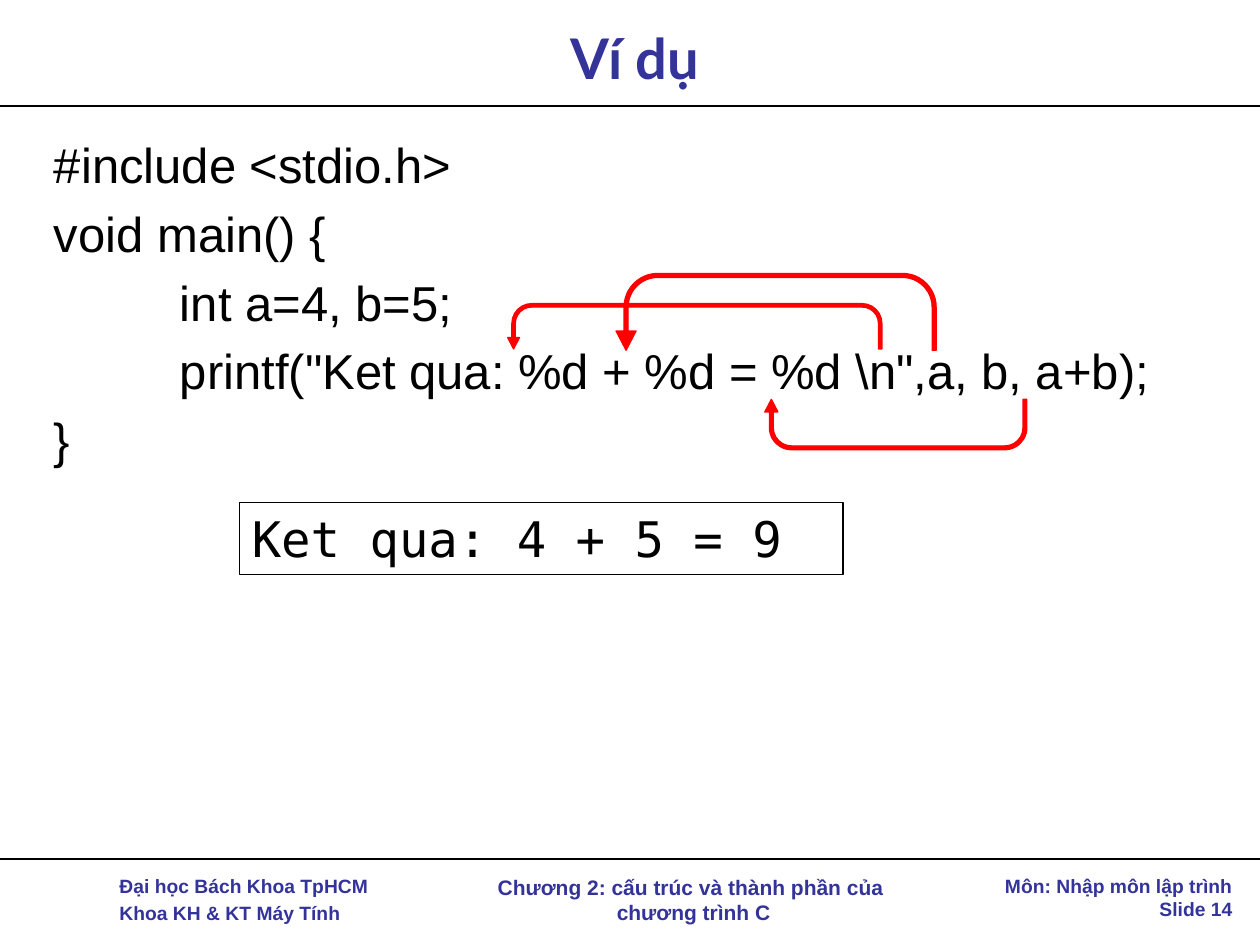
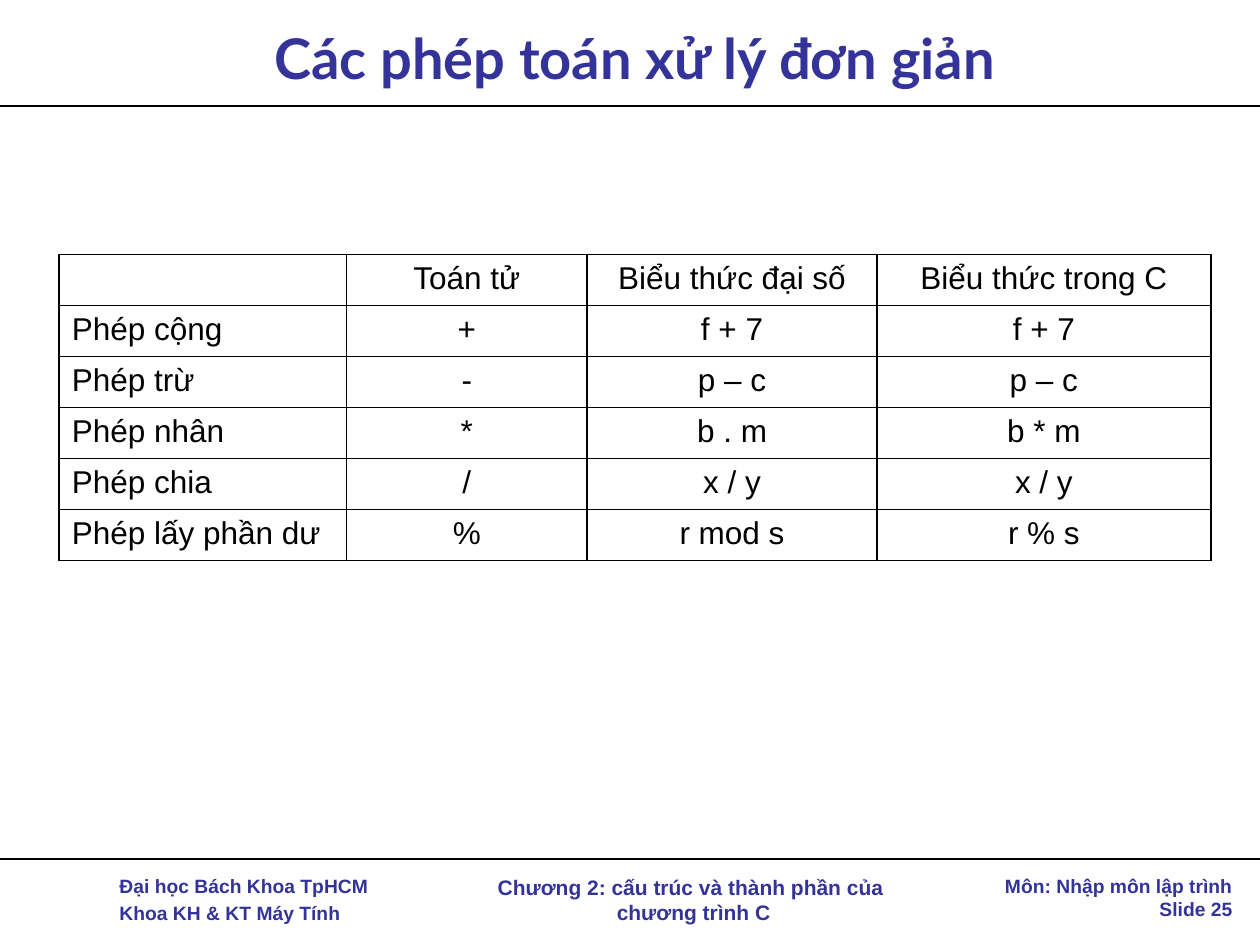
from lxml import etree
from pptx import Presentation
from pptx.dml.color import RGBColor
from pptx.enum import shapes as sh, text as tx
from pptx.oxml.ns import qn
from pptx.util import Inches, Pt

NAVY = RGBColor(0x33, 0x33, 0x99)
BLACK = RGBColor(0, 0, 0)
RED = RGBColor(0xFF, 0, 0)
BODY, HEAD, MONO = "Arial", "Lato", "DejaVu Sans Mono"
LEFT, MID, RIGHT = tx.PP_ALIGN.LEFT, tx.PP_ALIGN.CENTER, tx.PP_ALIGN.RIGHT

CODE = [
    "#include <stdio.h>",
    "void main() {",
    "\tint a=4, b=5;",
    '\tprintf("Ket qua: %d + %d = %d \\n",a, b, a+b);',
    "}",
]
# box, thickness of the shaft, flipped upside down
ARROWS = [
    ((4.03, 2.41, 2.97, 0.36), 0.076, False),
    ((4.89, 2.17, 2.54, 0.61), 0.052, False),
    ((6.07, 3.17, 2.08, 0.4), 0.076, True),
]
MATHS = [
    ("", "Toán tử", "Biểu thức đại số", "Biểu thức trong C"),
    ("Phép cộng", "+", "f + 7", "f + 7"),
    ("Phép trừ", "-", "p – c", "p – c"),
    ("Phép nhân", "*", "b . m", "b * m"),
    ("Phép chia", "/", "x / y", "x / y"),
    ("Phép lấy phần dư", "%", "r mod s", "r % s"),
]
WIDTHS = (2.28, 1.91, 2.3, 2.65)


def inches(box):
    return [Inches(v) for v in box]


def add_run(para, words, size, font=BODY, color=BLACK, bold=False):
    run = para.add_run()
    run.text = words
    run.font.size = Pt(size)
    run.font.name = font
    run.font.color.rgb = color
    run.font.bold = bold


def gap_before(para):
    """Space of 20% of a line above the paragraph."""
    gap = etree.SubElement(para._p.get_or_add_pPr(), qn("a:spcBef"))
    etree.SubElement(gap, qn("a:spcPct"), val="20000")


def add_tab(para, pos):
    tabs = etree.SubElement(para._p.get_or_add_pPr(), qn("a:tabLst"))
    etree.SubElement(tabs, qn("a:tab"), pos=str(Inches(pos)), algn="l")


def fill_frame(frame, lines, size, align=LEFT, gaps=(), **style):
    """Write one paragraph a line; gaps lists those with space above."""
    frame.word_wrap = True
    for i, line in enumerate(lines):
        para = frame.add_paragraph() if i else frame.paragraphs[0]
        para.alignment = align
        if i in gaps:
            gap_before(para)
        if line.startswith("\t"):
            add_tab(para, 1)
        add_run(para, line, size, **style)


def add_text(slide, box, lines, size, **style):
    frame = slide.shapes.add_textbox(*inches(box)).text_frame
    fill_frame(frame, lines, size, **style)
    return frame


def add_rule(slide, y):
    rule = slide.shapes.add_connector(
        sh.MSO_CONNECTOR.STRAIGHT, 0, Inches(y), Inches(10), Inches(y))
    rule.line.color.rgb = BLACK
    rule.line.width = Pt(1)
    etree.SubElement(rule._element.spPr, qn("a:effectLst"))


def add_shape(slide, kind, box, line):
    shape = slide.shapes.add_shape(kind, *inches(box))
    shape.shadow.inherit = False
    shape.fill.background()
    shape.line.color.rgb = line
    shape.line.width = Pt(0.75)
    return shape


def add_arrow(slide, box, shaft, upside):
    arrow = add_shape(slide, sh.MSO_SHAPE.U_TURN_ARROW, box, RED)
    arrow.fill.solid()
    arrow.fill.fore_color.rgb = RED
    for i, value in enumerate((shaft, 0.13, 0.25, 0.438, 1)):
        arrow.adjustments[i] = value
    xfrm = arrow._element.spPr.find(qn("a:xfrm"))
    xfrm.set("flipH", "1")
    if upside:
        xfrm.set("flipV", "1")


def add_output(slide, box, words):
    shape = add_shape(slide, sh.MSO_SHAPE.RECTANGLE, box, BLACK)
    shape.text_frame.vertical_anchor = tx.MSO_ANCHOR.TOP
    fill_frame(shape.text_frame, [words], 28, font=MONO)


def add_borders(cell):
    props = cell._tc.get_or_add_tcPr()
    for i, side in enumerate("LRTB"):
        edge = etree.Element(qn("a:ln" + side), w=str(Pt(1)))
        fill = etree.SubElement(edge, qn("a:solidFill"))
        etree.SubElement(fill, qn("a:srgbClr"), val=str(BLACK))
        props.insert(i, edge)


def add_grid(slide, box, rows, widths):
    table = slide.shapes.add_table(
        len(rows), len(widths), *inches(box)).table
    table.first_row = table.horz_banding = False
    for col, width in zip(table.columns, widths):
        col.width = Inches(width)
    for r, row in enumerate(rows):
        for c, words in enumerate(row):
            cell = table.cell(r, c)
            cell.fill.background()
            add_borders(cell)
            if words:
                fill_frame(cell.text_frame, [words], 18,
                           align=MID if c else LEFT)


def add_page(deck, title, number):
    """Blank slide with the shared footer, rules and title."""
    slide = deck.slides.add_slide(deck.slide_layouts[6])
    look = dict(color=NAVY, bold=True)
    add_text(slide, (0.85, 6.89, 2.33, 0.51),
             ["Đại học Bách Khoa TpHCM", "Khoa KH & KT Máy Tính"],
             11, gaps=(1,), **look)
    add_text(slide, (7.83, 6.89, 2.05, 0.47),
             ["Môn: Nhập môn lập trình", f"Slide {number}"],
             11, align=RIGHT, **look)
    add_text(slide, (3.18, 6.89, 4.65, 0.5),
             ["Chương 2: cấu trúc và thành phần của ", "chương trình C"],
             12, align=MID, **look)
    add_rule(slide, 6.82)
    add_rule(slide, 0.84)
    frame = add_text(slide, (0.33, 0.08, 9.42, 0.75), [title], 32,
                     align=MID, font=HEAD, **look)
    frame.vertical_anchor = tx.MSO_ANCHOR.MIDDLE
    return slide


def main():
    deck = Presentation()
    deck.slide_width, deck.slide_height = Inches(10), Inches(7.5)

    slide = add_page(deck, "Ví dụ", 14)
    add_text(slide, (0.33, 1.02, 9.42, 5.65), CODE, 28,
             gaps=range(len(CODE)))
    for box, shaft, upside in ARROWS:
        add_arrow(slide, box, shaft, upside)
    add_output(slide, (1.9, 3.99, 4.79, 0.57), "Ket qua: 4 + 5 = 9")

    slide = add_page(deck, "Các phép toán xử lý đơn giản", 25)
    add_grid(slide, (0.47, 2.02, 9.14, 2.43), MATHS, WIDTHS)

    deck.save("out.pptx")


if __name__ == "__main__":
    main()
